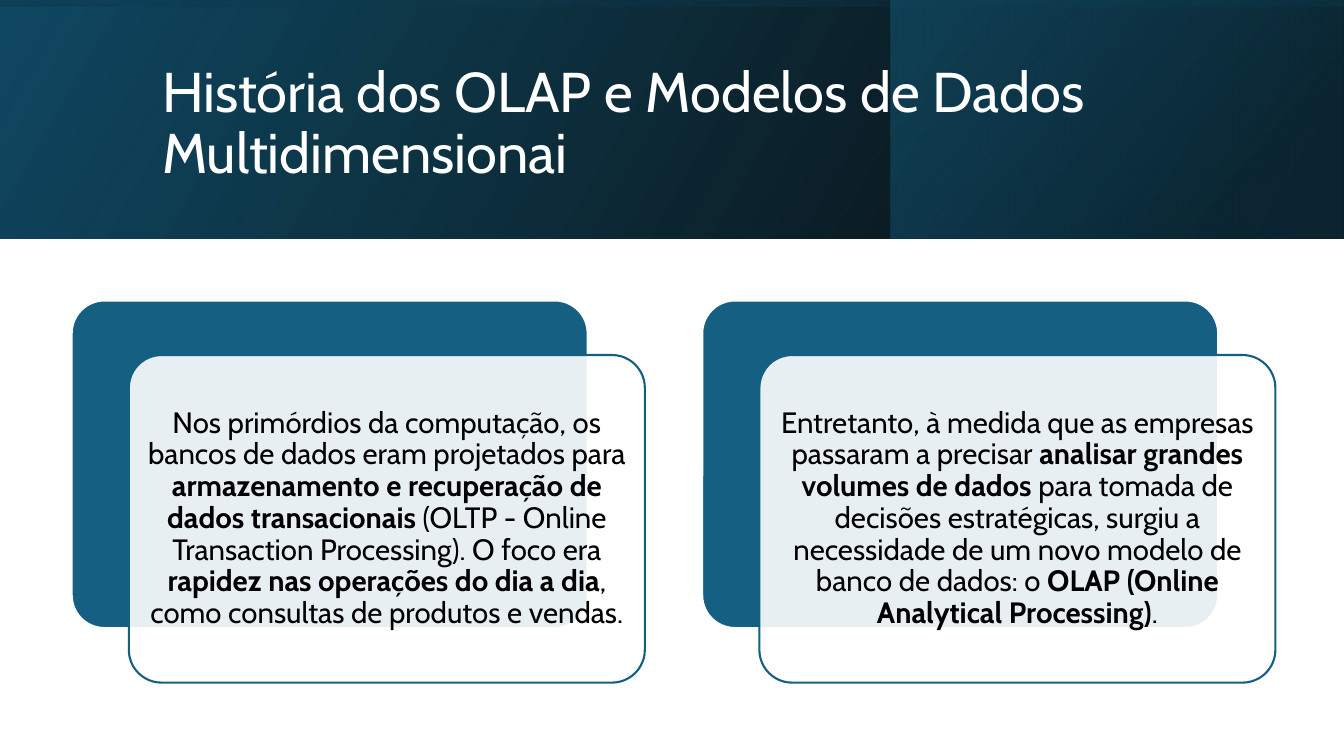
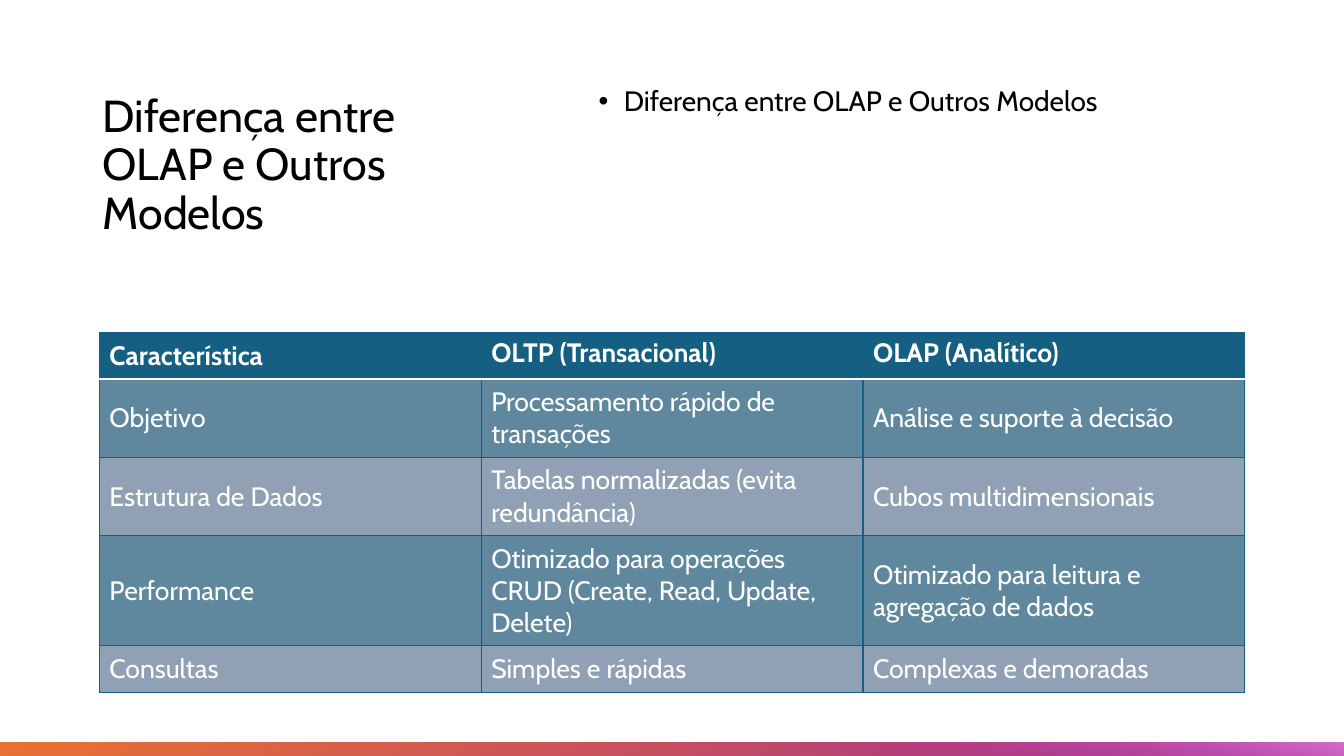
from dataclasses import dataclass

from lxml.etree import SubElement
from pptx import Presentation
from pptx.dml.color import RGBColor
from pptx.enum.shapes import MSO_SHAPE as Preset
from pptx.enum.text import MSO_ANCHOR as Anchor, PP_ALIGN as Align
from pptx.oxml.ns import qn
from pptx.util import Pt


@dataclass(frozen=True)
class Theme:
    font: str = "Cabin"
    white: str = "FFFFFF"
    black: str = "000000"
    blue: str = "156082"
    navy: str = "104862"
    deep_blue: str = "0B3041"
    purple: str = "A02B93"
    orange: str = "E97132"
    pink: str = "D86ECC"
    odd_row: str = "5F889E"
    even_row: str = "91A1B5"
    banner_title: int = 40
    title: int = 32
    card: int = 21
    body: int = 20
    table: int = 19
    line_spacing: float = 0.9


THEME = Theme()
SLIDE_WIDTH, SLIDE_HEIGHT = 960, 540
BANNER_HEIGHT = 170.6

CARDS = [
    [
        ("Nos primórdios da computação, os bancos de dados eram projetados para ", False),
        ("armazenamento e recuperação de dados transacionais", True),
        (" (OLTP - Online Transaction Processing). O foco era ", False),
        ("rapidez nas operações do dia a dia", True),
        (", como consultas de produtos e vendas.", False),
    ],
    [
        ("Entretanto, à medida que as empresas passaram a precisar ", False),
        ("analisar grandes volumes de dados", True),
        (" para tomada de decisões estratégicas, surgiu a necessidade de um novo modelo de banco de dados: o ", False),
        ("OLAP (Online Analytical Processing)", True),
        (".", False),
    ],
]

COMPARISON = [
    ("Característica", "OLTP (Transacional)", "OLAP (Analítico)"),
    ("Objetivo", "Processamento rápido de transações", "Análise e suporte à decisão"),
    ("Estrutura de Dados", "Tabelas normalizadas (evita redundância)", "Cubos multidimensionais"),
    ("Performance", "Otimizado para operações CRUD (Create, Read, Update, Delete)",
     "Otimizado para leitura e agregação de dados"),
    ("Consultas", "Simples e rápidas", "Complexas e demoradas"),
]
ROW_HEIGHTS = [33.4, 56, 56, 78.6, 33.4]


def rgb(color):
    return RGBColor.from_string(color)


def points(*lengths):
    return [Pt(length) for length in lengths]


def set_opacity(parent, percent):
    color = next(parent.iter(qn("a:srgbClr")))
    SubElement(color, qn("a:alpha")).set("val", str(percent * 1000))


def style_run(run, size, color, bold=False):
    run.font.name = THEME.font
    run.font.size = Pt(size)
    run.font.bold = bold
    run.font.color.rgb = rgb(color)


def add_gradient_band(slide, box, stops, angle, rotation=0, flipped=True):
    band = slide.shapes.add_shape(Preset.RECTANGLE, *points(*box))
    band.shadow.inherit = False
    band.line.fill.background()
    band.rotation = rotation
    if flipped:
        band.element.spPr.find(qn("a:xfrm")).set("flipH", "1")
    band.fill.gradient()
    band.fill.gradient_angle = 360 - angle
    for stop, (position, color, _) in zip(band.fill.gradient_stops, stops):
        stop.position = position
        stop.color.rgb = rgb(color)
    for node, (_, _, opacity) in zip(band.element.spPr.iter(qn("a:gs")), stops):
        set_opacity(node, opacity)


def add_text(slide, box, text, size, color=THEME.black, anchor=Anchor.TOP):
    frame = slide.shapes.add_textbox(*points(*box)).text_frame
    frame.word_wrap = True
    frame.vertical_anchor = anchor
    frame.text = text
    paragraph = frame.paragraphs[0]
    paragraph.line_spacing = THEME.line_spacing
    style_run(paragraph.runs[0], size, color)
    return paragraph


def add_bullet(paragraph, indent):
    properties = paragraph._p.get_or_add_pPr()
    properties.set("marL", str(Pt(indent)))
    properties.set("indent", str(-Pt(indent)))
    SubElement(properties, qn("a:buFont")).set("typeface", "Arial")
    SubElement(properties, qn("a:buChar")).set("char", "•")


def add_panel(slide, box, fill, line):
    panel = slide.shapes.add_shape(Preset.ROUNDED_RECTANGLE, *points(*box))
    panel.shadow.inherit = False
    panel.adjustments[0] = 0.1
    panel.fill.solid()
    panel.fill.fore_color.rgb = rgb(fill)
    panel.line.color.rgb = rgb(line)
    panel.line.width = Pt(1.5)
    return panel


def add_card(slide, left, top, passages):
    width, height = 368.6, 234
    add_panel(slide, (left, top, width, height), THEME.blue, THEME.white)
    front = add_panel(slide, (left + 40.8, top + 39, width, height), THEME.white, THEME.blue)
    set_opacity(front.element.spPr, 90)
    frame = front.text_frame
    frame.word_wrap = True
    frame.vertical_anchor = Anchor.MIDDLE
    frame.margin_left = frame.margin_right = frame.margin_top = frame.margin_bottom = Pt(6.5)
    paragraph = frame.paragraphs[0]
    paragraph.alignment = Align.CENTER
    paragraph.line_spacing = THEME.line_spacing
    for text, bold in passages:
        run = paragraph.add_run()
        run.text = text
        style_run(run, THEME.card, THEME.black, bold)


def add_border(cell, side, color, width):
    border = SubElement(cell._tc.get_or_add_tcPr(), qn(f"a:ln{side}"))
    border.set("w", str(Pt(width)))
    fill = SubElement(border, qn("a:solidFill"))
    SubElement(fill, qn("a:srgbClr")).set("val", color)


def style_cell(cell, text, row, column):
    header = row == 0
    for side in "LRTB":
        under_header = (row, side) in [(0, "B"), (1, "T")]
        add_border(cell, side, *((THEME.white, 1.5) if under_header else (THEME.blue, 1)))
    cell.fill.solid()
    stripe = THEME.odd_row if row % 2 else THEME.even_row
    cell.fill.fore_color.rgb = rgb(THEME.blue if header else stripe)
    cell.vertical_anchor = Anchor.TOP if header and column else Anchor.MIDDLE
    cell.text_frame.text = text
    style_run(cell.text_frame.paragraphs[0].runs[0], THEME.table, THEME.white, header)


def add_comparison(slide, left, top, width):
    columns = len(COMPARISON[0])
    table = slide.shapes.add_table(
        len(COMPARISON), columns, *points(left, top, width, sum(ROW_HEIGHTS))).table
    for column in table.columns:
        column.width = Pt(width / columns)
    for row, (height, texts) in enumerate(zip(ROW_HEIGHTS, COMPARISON)):
        table.rows[row].height = Pt(height)
        for column, text in enumerate(texts):
            style_cell(table.cell(row, column), text, row, column)


def build_history(slide):
    add_gradient_band(slide, (0, 0, SLIDE_WIDTH, BANNER_HEIGHT),
                      [(0, THEME.black, 96), (1, THEME.navy, 100)], 330)
    add_gradient_band(slide, (636.5, 0, 323, BANNER_HEIGHT),
                      [(0.19, THEME.deep_blue, 68), (1, THEME.blue, 48)], 320)
    offset = (SLIDE_WIDTH - BANNER_HEIGHT) / 2
    add_gradient_band(slide, (offset, -offset, BANNER_HEIGHT, SLIDE_WIDTH),
                      [(0.23, THEME.navy, 16), (0.99, THEME.black, 45)], 350, 270)
    add_text(slide, (108.7, 27.4, 765.4, 123.8),
             "História dos OLAP e Modelos de Dados Multidimensionai",
             THEME.banner_title, THEME.white, Anchor.MIDDLE)
    for index, passages in enumerate(CARDS):
        add_card(slide, 51.2 + index * 450.4, 214.6, passages)


def build_difference(slide):
    heading = "Diferença entre OLAP e Outros Modelos"
    add_text(slide, (66.2, 63.4, 290, 162), heading, THEME.title)
    point = add_text(slide, (420.5, 59, 468, 165.6), heading, THEME.body)
    point.space_before = Pt(10)
    add_bullet(point, 18)
    add_gradient_band(slide, (475.2, 54.7, 9.4, 961),
                      [(0, THEME.purple, 100), (1, THEME.orange, 100)], 30, 90)
    add_gradient_band(slide, (722.9, 301.7, 9.4, 466.6),
                      [(0.19, THEME.purple, 0), (1, THEME.pink, 100)], 10, 270, flipped=False)
    add_comparison(slide, 71, 237.4, 818.2)


def main():
    deck = Presentation()
    deck.slide_width, deck.slide_height = points(SLIDE_WIDTH, SLIDE_HEIGHT)
    for build in (build_history, build_difference):
        build(deck.slides.add_slide(deck.slide_layouts[6]))
    deck.save("out.pptx")


if __name__ == "__main__":
    main()
